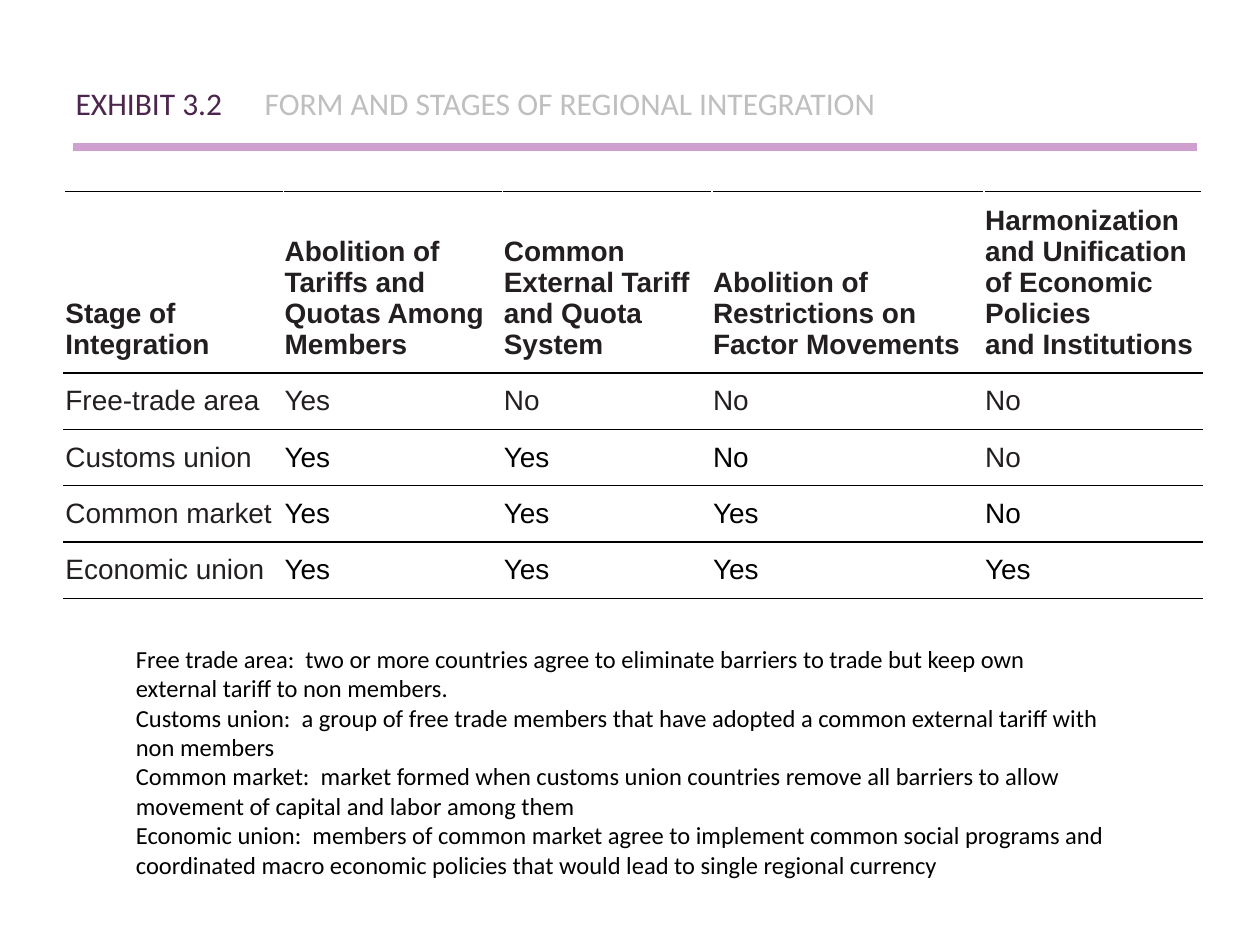
from lxml import etree
from pptx import Presentation
from pptx import util as u
from pptx.dml.color import RGBColor
from pptx.enum import shapes, text
from pptx.oxml import ns

BLACK = RGBColor(0x00, 0x00, 0x00)
INK = RGBColor(0x23, 0x1F, 0x20)
WHITE = RGBColor(0xFF, 0xFF, 0xFF)
PLUM = RGBColor(0x4D, 0x26, 0x4D)
GREY = RGBColor(0xBF, 0xBF, 0xBF)
MAUVE = RGBColor(0xCF, 0xA0, 0xCF)

COLUMN_WIDTHS = [1.74, 1.74, 1.66, 2.16, 1.73]
HEADER_HEIGHT = 1.44
ROW_HEIGHT = 0.447
HEADERS = [
    "Stage of Integration",
    "Abolition of\nTariffs and Quotas Among Members",
    "Common\nExternal Tariff\nand Quota\nSystem",
    "Abolition of\nRestrictions on\nFactor Movements",
    "Harmonization\nand Unification of Economic Policies\nand Institutions",
]
STAGES = [
    ["Free-trade area", "Yes", "No", "No", "No"],
    ["Customs union", "Yes", "Yes", "No", "No"],
    ["Common market", "Yes", "Yes", "Yes", "No"],
    ["Economic union", "Yes", "Yes", "Yes", "Yes"],
]
INK_ANSWERS = {(1, 1), (1, 2), (1, 3), (1, 4), (2, 4)}
DEFINITIONS = [
    "Free trade area:  two or more countries agree to eliminate barriers to trade "
    "but keep own external tariff to non members.",
    "Customs union:  a group of free trade members that have adopted a common "
    "external tariff with non members",
    "Common market:  market formed when customs union countries remove all barriers "
    "to allow movement of capital and labor among them",
    "Economic union:  members of common market agree to implement common social "
    "programs and coordinated macro economic policies that would lead to single "
    "regional currency",
]


def style_span(span, font, size, color, bold=False):
    span.font.name = font
    span.font.size = u.Pt(size)
    span.font.color.rgb = color
    span.font.bold = bold


def place_title(page, left, top, width, height):
    title = page.shapes.title
    title.left, title.top, title.width, title.height = map(
        u.Inches, (left, top, width, height))
    title.text_frame.vertical_anchor = text.MSO_ANCHOR.MIDDLE
    para = title.text_frame.paragraphs[0]
    para.alignment = text.PP_ALIGN.LEFT
    tabs = etree.SubElement(para._p.get_or_add_pPr(), ns.qn("a:tabLst"))
    etree.SubElement(tabs, ns.qn("a:tab"), pos=str(u.Inches(1.5)), algn="l")
    for words, color in [("EXHIBIT 3.2\t", PLUM),
                         ("FORM AND STAGES OF REGIONAL INTEGRATION", GREY)]:
        span = para.add_run()
        span.text = words
        style_span(span, "Calibri", 18, color)


def place_rule(page, left, top, width):
    rule = page.shapes.add_connector(
        shapes.MSO_CONNECTOR.STRAIGHT, u.Inches(left), u.Inches(top),
        u.Inches(left + width), u.Inches(top))
    rule.line.color.rgb = MAUVE
    rule.line.width = u.Pt(4.5)
    etree.SubElement(rule._element.spPr, ns.qn("a:effectLst"))


def add_borders(cell, sides):
    properties = cell._tc.get_or_add_tcPr()
    for position, side in enumerate(sides):
        line = etree.Element(ns.qn("a:" + side), w=str(u.Pt(1)))
        fill = etree.SubElement(line, ns.qn("a:solidFill"))
        etree.SubElement(fill, ns.qn("a:srgbClr"), val=str(BLACK))
        properties.insert(position, line)


def fill_cell(cell, words, color, header):
    cell.margin_left = cell.margin_right = u.Inches(0.01)
    cell.margin_top = cell.margin_bottom = u.Inches(0.1)
    cell.vertical_anchor = (
        text.MSO_ANCHOR.BOTTOM if header else text.MSO_ANCHOR.MIDDLE)
    cell.fill.solid()
    cell.fill.fore_color.rgb = WHITE
    cell.text_frame.text = words
    for para in cell.text_frame.paragraphs:
        style_span(para.runs[0], "Arial", 16, color, header)
    add_borders(cell, ["lnT", "lnB"])


def place_table(page, left, top):
    rows = [HEADERS] + STAGES
    heights = [HEADER_HEIGHT] + [ROW_HEIGHT] * len(STAGES)
    table = page.shapes.add_table(
        len(rows), len(HEADERS), u.Inches(left), u.Inches(top),
        u.Inches(sum(COLUMN_WIDTHS)), u.Inches(sum(heights))).table
    table.first_row = table.horz_banding = False
    for column, width in zip(table.columns, COLUMN_WIDTHS):
        column.width = u.Inches(width)
    for r, (words, height) in enumerate(zip(rows, heights)):
        table.rows[r].height = u.Inches(height)
        for c, word in enumerate(words):
            in_ink = r == 0 or c == 0 or (r, c) in INK_ANSWERS
            fill_cell(table.cell(r, c), word, INK if in_ink else BLACK, r == 0)


def place_definitions(page, left, top, width, height):
    box = page.shapes.add_textbox(*map(u.Inches, (left, top, width, height)))
    frame = box.text_frame
    frame.word_wrap = True
    frame.auto_size = text.MSO_AUTO_SIZE.SHAPE_TO_FIT_TEXT
    frame.text = "\n".join(DEFINITIONS)
    for para in frame.paragraphs:
        style_span(para.runs[0], "Calibri", 14, BLACK)


def main():
    deck = Presentation()
    deck.slide_width, deck.slide_height = u.Inches(10), u.Inches(7.5)
    page = deck.slides.add_slide(deck.slide_layouts[5])
    place_rule(page, 0.58, 1.17, 8.92)
    place_title(page, 0.5, 0.27, 9, 1.1)
    place_table(page, 0.51, 1.52)
    place_definitions(page, 0.98, 5.06, 7.95, 1.99)
    deck.save("out.pptx")


if __name__ == "__main__":
    main()
